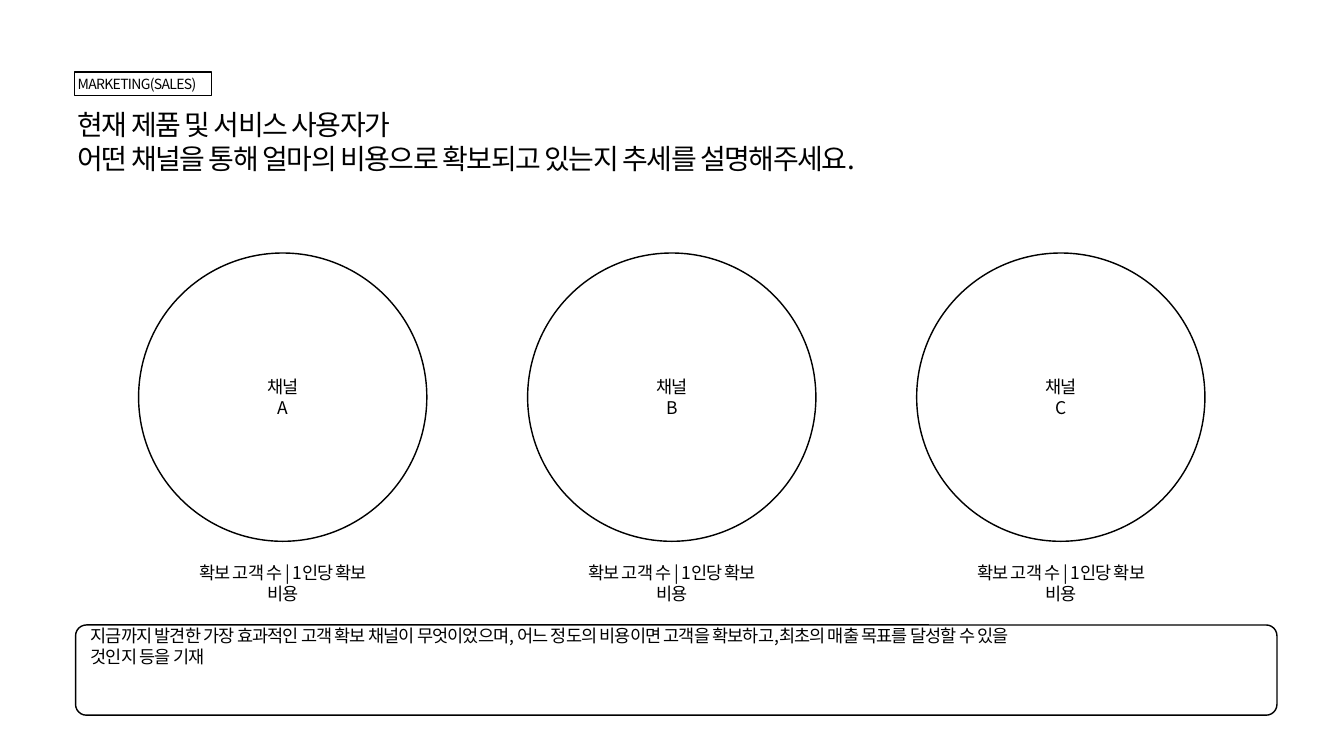
from pptx import Presentation
from pptx import util as u
from pptx.dml.color import RGBColor
from pptx.enum import shapes, text
from pptx.oxml import ns
from lxml import etree

WIDTH, HEIGHT = 26.67, 15
FONT = "Noto Sans CJK KR"
COLOURS = {"ink": "000000", "paper": "FFFFFF"}
CHANNELS = ["채널A", "채널B", "채널C"]
CAPTION = "확보 고객 수 | 1인당 확보 비용"
TAG = "MARKETING(SALES)"
TITLE = ["현재 제품 및 서비스 사용자가",
         "어떤 채널을 통해 얼마의 비용으로 확보되고 있는지 추세를 설명해주세요."]
NOTE = ("지금까지 발견한 가장 효과적인 고객 확보 채널이 무엇이었으며, "
        "어느 정도의 비용이면 고객을 확보하고,최초의 매출 목표를 달성할 수 있을 "
        "것인지 등을 기재")


def inches(box):
    return [u.Inches(length) for length in box]


def add_outline(page, kind, box):
    outline = page.shapes.add_shape(kind, *inches(box))
    outline.shadow.inherit = False
    outline.fill.background()
    outline.line.color.rgb = RGBColor.from_string(COLOURS["ink"])
    outline.line.width = u.Pt(2)
    return outline


def write(shape, lines, size, spacing, align=text.PP_ALIGN.LEFT,
          anchor=text.MSO_ANCHOR.MIDDLE):
    frame = shape.text_frame
    frame.word_wrap = True
    frame.vertical_anchor = anchor
    frame.margin_left = frame.margin_right = u.Inches(0.06)
    frame.margin_top = frame.margin_bottom = u.Inches(0.06)
    frame.text = "\n".join(lines)
    for para in frame.paragraphs:
        para.alignment = align
        para.font.name = FONT
        para.font.size = u.Pt(size)
        para.font.color.rgb = RGBColor.from_string(COLOURS["ink"])
        defaults = para._p.pPr.find(ns.qn("a:defRPr"))
        defaults.set("spc", str(round(spacing * 100)))
        etree.SubElement(defaults, ns.qn("a:ea"), typeface=FONT)


def add_text(page, box, lines, size, spacing, **layout):
    write(page.shapes.add_textbox(*inches(box)), lines, size, spacing, **layout)


def add_heading(page, left, top, width):
    tag = add_outline(page, shapes.MSO_SHAPE.RECTANGLE, (left, top, 2.72, 0.47))
    write(tag, [TAG], 20, -1)
    add_text(page, (left, top + 0.65, width, 1.44), TITLE, 40, -2,
             anchor=text.MSO_ANCHOR.TOP)


def add_channel(page, left, top, size, name):
    add_outline(page, shapes.MSO_SHAPE.OVAL, (left, top, size, size))
    centre = left + size / 2
    for label, width, middle in ((name, 0.92, top + size / 2),
                                 (CAPTION, 3.86, top + size + 0.84)):
        add_text(page, (centre - width / 2, middle - 0.27, width, 0.53),
                 [label], 25, -1.2, align=text.PP_ALIGN.CENTER)


def add_channels(page, left, top, width, size):
    step = (width - size) / (len(CHANNELS) - 1)
    for column, name in enumerate(CHANNELS):
        add_channel(page, left + column * step, top, size, name)


def add_note(page, left, top, width, height):
    panel = add_outline(page, shapes.MSO_SHAPE.ROUNDED_RECTANGLE,
                        (left, top, width, height))
    panel.adjustments[0] = 0.12
    add_text(page, (left + 0.24, top + 0.16, 19.26, 0.53), [NOTE], 25, -1.2)


def main():
    deck = Presentation()
    deck.slide_width, deck.slide_height = inches((WIDTH, HEIGHT))
    page = deck.slides.add_slide(deck.slide_layouts[6])
    page.background.fill.solid()
    page.background.fill.fore_color.rgb = RGBColor.from_string(COLOURS["paper"])
    add_heading(page, 1.48, 1.43, 23.7)
    add_channels(page, 2.75, 5.02, 21.16, 5.72)
    add_note(page, 1.5, 12.4, 23.84, 1.79)
    deck.save("out.pptx")


if __name__ == "__main__":
    main()
